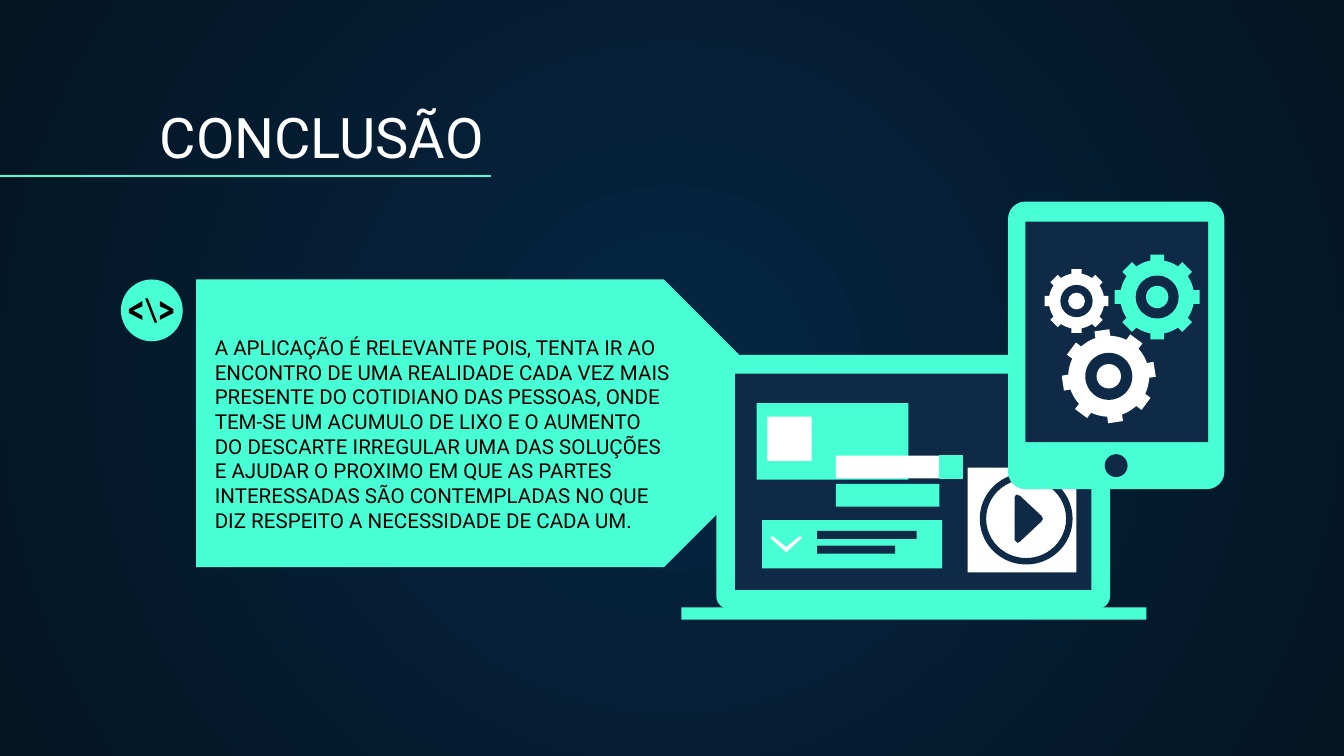
from dataclasses import dataclass
from math import asin, cos, pi, radians, sin

from lxml import etree
from pptx import Presentation
from pptx.dml.color import RGBColor
from pptx.enum.shapes import MSO_CONNECTOR, MSO_SHAPE
from pptx.enum.text import MSO_ANCHOR, PP_ALIGN
from pptx.oxml.ns import qn
from pptx.util import Inches, Pt

RECT = MSO_SHAPE.RECTANGLE
ROUND = MSO_SHAPE.ROUNDED_RECTANGLE
OVAL = MSO_SHAPE.OVAL
DONUT = MSO_SHAPE.DONUT
PENTAGON = MSO_SHAPE.PENTAGON
STRAIGHT = MSO_CONNECTOR.STRAIGHT
BOTTOM = MSO_ANCHOR.BOTTOM
LEFT = PP_ALIGN.LEFT

COLORS = {
    "mint": "48FFD5",
    "navy": "0E2A47",
    "white": "FFFFFF",
    "black": "000000",
    "glow": "052643",
    "edge": "041523",
}
FONT = "Roboto"
TEETH = 8
ARC_STEPS = 6


@dataclass
class Part:
    kind: int
    left: float
    top: float
    width: float
    height: float
    color: str
    adj: float | None = None
    outline: bool = False


@dataclass
class Outline:
    points: list[tuple[float, float]]
    color: str


@dataclass
class Gear:
    x: float
    y: float
    radius: float
    color: str
    tilt: float = 0


@dataclass
class Label:
    left: float
    top: float
    width: float
    height: float
    text: str
    size: float
    color: str


BANNER = Part(PENTAGON, 1.46, 2.08, 4.55, 2.14, "mint", 0.5)
BADGE = Part(OVAL, 0.9, 2.08, 0.46, 0.46, "mint")

LABELS = [
    Label(1.09, 0.7, 8.57, 0.66, "CONCLUSÃO", 30, "white"),
    Label(1.5, 2.08, 3.6, 1.98,
          "A APLICAÇÃO É RELEVANTE POIS, TENTA IR AO ENCONTRO DE UMA REALIDADE "
          "CADA VEZ MAIS PRESENTE DO COTIDIANO DAS PESSOAS, ONDE TEM-SE UM "
          "ACUMULO DE LIXO E O AUMENTO DO DESCARTE IRREGULAR UMA DAS SOLUÇÕES E "
          "AJUDAR O PROXIMO EM QUE AS PARTES INTERESSADAS SÃO CONTEMPLADAS NO "
          "QUE DIZ RESPEITO A NECESSIDADE DE CADA UM.", 11, "black"),
]

BRACKET = [(0, 0.06), (0.1, 0), (0.1, 0.04), (0.03, 0.07),
           (0.1, 0.11), (0.1, 0.14), (0, 0.09)]
CODE_ICON = [
    Outline([(0.96 + x, 2.24 + y) for x, y in BRACKET], "black"),
    Outline([(1.08, 2.22), (1.1, 2.22), (1.17, 2.4), (1.15, 2.4)], "black"),
    Outline([(1.29 - x, 2.24 + y) for x, y in BRACKET], "black"),
]

LAPTOP = [
    Part(ROUND, 5.33, 2.64, 2.93, 1.89, "mint", 0.05),
    Part(RECT, 5.47, 2.78, 2.65, 1.61, "navy"),
    Part(RECT, 5.07, 4.52, 3.46, 0.09, "mint"),
    Part(RECT, 5.63, 3, 1.13, 0.57, "mint"),
    Part(RECT, 5.71, 3.1, 0.33, 0.33, "white"),
    Part(RECT, 5.67, 3.87, 1.34, 0.36, "mint"),
    Part(RECT, 6.08, 3.95, 0.74, 0.06, "navy"),
    Part(RECT, 6.08, 4.06, 0.58, 0.06, "navy"),
    Outline([(5.75, 3.99), (5.85, 4.07), (5.95, 3.99), (5.97, 4),
             (5.96, 4.01), (5.86, 4.1), (5.85, 4.11), (5.84, 4.1),
             (5.74, 4.01), (5.73, 4)], "white"),
    Part(RECT, 6.22, 3.6, 0.77, 0.17, "mint"),
    Part(RECT, 6.22, 3.39, 0.77, 0.17, "white"),
    Part(RECT, 6.99, 3.39, 0.17, 0.17, "mint", outline=True),
    Part(RECT, 7.2, 3.48, 0.81, 0.78, "white"),
    Part(DONUT, 7.29, 3.52, 0.69, 0.68, "navy", 0.07),
    Outline([(7.55, 3.7), (7.56, 3.68), (7.59, 3.69), (7.75, 3.84),
             (7.76, 3.86), (7.75, 3.88), (7.59, 4.03), (7.57, 4.04),
             (7.55, 4.02)], "navy"),
]

TABLET = [
    Part(ROUND, 7.5, 1.5, 1.61, 2.14, "mint", 0.08),
    Part(RECT, 7.63, 1.65, 1.36, 1.64, "navy"),
    Part(OVAL, 8.22, 3.38, 0.17, 0.17, "navy"),
]

GEARS = [
    Gear(8.61, 2.21, 0.32, "mint"),
    Gear(8.01, 2.24, 0.24, "white"),
    Gear(8.25, 2.8, 0.35, "white", -8.5),
]


def rgb(name: str) -> RGBColor:
    return RGBColor.from_string(COLORS[name])


def paint(sp, color: str, outline: bool = False) -> None:
    sp.shadow.inherit = False
    sp.fill.solid()
    sp.fill.fore_color.rgb = rgb(color)
    if outline:
        sp.line.color.rgb = rgb(color)
        sp.line.width = Pt(0.75)
    else:
        sp.line.fill.background()


def draw_part(s, part: Part) -> None:
    sp = s.shapes.add_shape(part.kind, Inches(part.left), Inches(part.top),
                            Inches(part.width), Inches(part.height))
    if part.adj is not None:
        sp.adjustments[0] = part.adj
    paint(sp, part.color, part.outline)


def draw_outline(s, outline: Outline) -> None:
    points = [(Inches(x), Inches(y)) for x, y in outline.points]
    builder = s.shapes.build_freeform(*points[0])
    builder.add_line_segments(points[1:], close=True)
    paint(builder.convert_to_shape(), outline.color)


def draw_all(s, items: list[Part | Outline]) -> None:
    for item in items:
        if isinstance(item, Part):
            draw_part(s, item)
        else:
            draw_outline(s, item)


def draw_gear(s, gear: Gear) -> None:
    body = gear.radius * 0.86
    half_tooth = gear.radius * 0.16
    base, tip = asin(half_tooth / body), asin(half_tooth / gear.radius)
    pitch = 2 * pi / TEETH
    polar = []
    for i in range(TEETH):
        mid = radians(gear.tilt) + i * pitch
        polar += [(gear.radius, mid - tip), (gear.radius, mid + tip)]
        polar += [(body, mid + base + (pitch - 2 * base) * j / ARC_STEPS)
                  for j in range(ARC_STEPS + 1)]
    draw_outline(s, Outline([(gear.x + d * sin(a), gear.y - d * cos(a))
                             for d, a in polar], gear.color))
    for ratio, color in ((0.5, "navy"), (0.26, gear.color)):
        d = gear.radius * ratio
        draw_part(s, Part(OVAL, gear.x - d, gear.y - d, 2 * d, 2 * d, color))


def draw_label(s, label: Label) -> None:
    sp = s.shapes.add_textbox(Inches(label.left), Inches(label.top),
                              Inches(label.width), Inches(label.height))
    tf = sp.text_frame
    tf.word_wrap = True
    tf.vertical_anchor = BOTTOM
    tf.margin_left = tf.margin_right = Inches(0.1)
    tf.margin_top = tf.margin_bottom = Inches(0.1)
    p = tf.paragraphs[0]
    p.alignment = LEFT
    r = p.add_run()
    r.text = label.text
    r.font.name = FONT
    r.font.size = Pt(label.size)
    r.font.color.rgb = rgb(label.color)


def draw_rule(s) -> None:
    line = s.shapes.add_connector(STRAIGHT, Inches(0), Inches(1.31),
                                  Inches(3.65), Inches(1.31))
    line.line.color.rgb = rgb("mint")
    line.line.width = Pt(0.75)
    etree.SubElement(line._element.spPr, qn("a:effectLst"))


def draw_background(s) -> None:
    fill = s.background.fill
    fill.gradient()
    for stop, color in zip(fill.gradient_stops, ("glow", "edge")):
        stop.color.rgb = rgb(color)
    grad = s.element.find(".//" + qn("a:gradFill"))
    lin = grad.find(qn("a:lin"))
    radial = etree.Element(qn("a:path"), {"path": "circle"})
    etree.SubElement(radial, qn("a:fillToRect"), dict.fromkeys("ltrb", "50000"))
    grad.replace(lin, radial)


def main() -> None:
    prs = Presentation()
    prs.slide_width = Inches(10)
    prs.slide_height = prs.slide_width * 9 // 16
    s = prs.slides.add_slide(prs.slide_layouts[6])
    draw_background(s)
    draw_part(s, BANNER)
    for label in LABELS:
        draw_label(s, label)
    draw_rule(s)
    draw_all(s, [BADGE, *CODE_ICON, *LAPTOP, *TABLET])
    for gear in GEARS:
        draw_gear(s, gear)
    prs.save("out.pptx")


if __name__ == "__main__":
    main()
